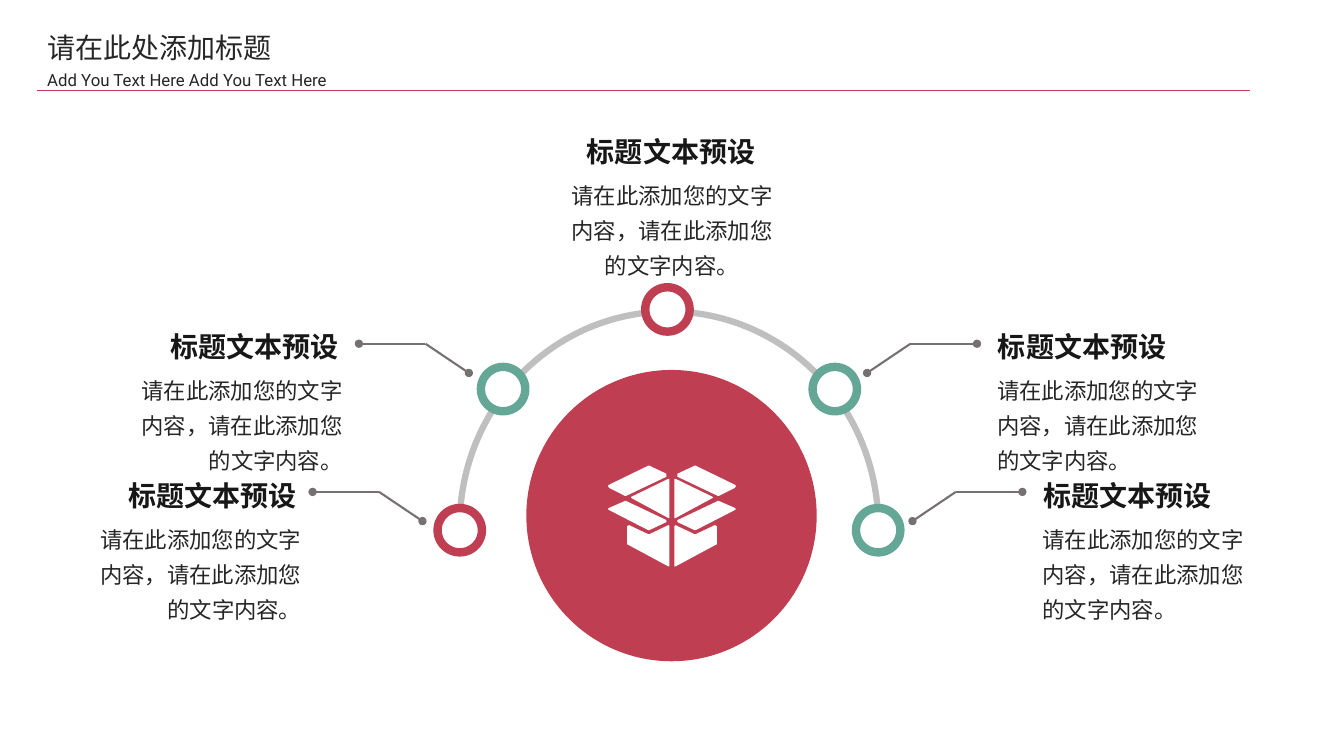
from lxml.etree import SubElement
from pptx import Presentation
from pptx.dml.color import RGBColor
from pptx.enum.lang import MSO_LANGUAGE_ID
from pptx.enum.shapes import MSO_CONNECTOR, MSO_SHAPE
from pptx.enum.text import MSO_ANCHOR, MSO_AUTO_SIZE, PP_ALIGN
from pptx.oxml.ns import qn
from pptx.util import Inches, Pt

COLORS = {
    "red": "C03E51",
    "green": "64A797",
    "arc": "BFBFBF",
    "leader": "767171",
    "heading": "181717",
    "body": "262626",
    "white": "FFFFFF",
}
HEADING = "标题文本预设"
BODY = "请在此添加您的文字内容，请在此添加您的文字内容。"
RING_SIZE = 0.44
MIRROR_SUM = 13.33

RINGS = [
    (6.4, 2.85, "red"),
    (8.06, 3.64, "green"),
    (4.34, 5.04, "red"),
    (8.49, 5.04, "green"),
    (4.77, 3.64, "green"),
]
LEADERS = [(4.19, 5.17, -1), (4.65, 3.7, -1), (8.6, 3.7, 1), (9.05, 5.17, 1)]
SIDE_LABELS = [
    (9.8, 3.29, 9.89, 2.2, PP_ALIGN.LEFT),
    (10.25, 4.77, 10.34, 2.11, PP_ALIGN.LEFT),
    (1.26, 3.29, 1.38, 2.02, PP_ALIGN.RIGHT),
    (0.84, 4.77, 0.84, 2.15, PP_ALIGN.RIGHT),
]
LEFT_BOX_PANELS = [
    [(6.26, 4.93), (6.63, 4.75), (6.64, 4.75), (6.64, 5.14), (6.63, 5.14), (6.26, 4.94)],
    [(6.61, 5.16), (6.21, 4.97), (6.2, 4.97), (6.04, 5.04), (6.03, 5.05), (6.04, 5.06),
     (6.43, 5.26), (6.44, 5.26), (6.61, 5.18)],
    [(6.61, 4.7), (6.44, 4.62), (6.43, 4.62), (6.04, 4.81), (6.03, 4.82), (6.04, 4.84),
     (6.2, 4.92), (6.21, 4.92), (6.61, 4.73)],
    [(6.22, 5.22), (6.24, 5.21), (6.43, 5.3), (6.44, 5.3), (6.63, 5.21), (6.64, 5.22),
     (6.64, 5.62), (6.63, 5.62), (6.24, 5.41), (6.22, 5.4)],
]


class SlidePainter:
    font_name = "Roboto"

    def __init__(self, page):
        self.page = page

    def color(self, name):
        return RGBColor.from_string(COLORS[name])

    def finish(self, shape, fill=None, line=None, width=0):
        shape.shadow.inherit = False
        if fill:
            shape.fill.solid()
            shape.fill.fore_color.rgb = self.color(fill)
        else:
            shape.fill.background()
        if line:
            shape.line.color.rgb = self.color(line)
            shape.line.width = Pt(width)
        else:
            shape.line.fill.background()

    def shape(self, kind, place, **style):
        shape = self.page.shapes.add_shape(kind, *map(Inches, place))
        self.finish(shape, **style)
        return shape

    def line(self, start, end, color, width, **ends):
        line = self.page.shapes.add_connector(
            MSO_CONNECTOR.STRAIGHT, *map(Inches, (*start, *end)))
        line.line.color.rgb = self.color(color)
        line.line.width = Pt(width)
        outline = line.line._get_or_add_ln()
        for tag, kind in ends.items():
            SubElement(outline, qn(f"a:{tag}"), type=kind)
        SubElement(line._element.spPr, qn("a:effectLst"))

    def polygons(self, outlines, fill):
        points = [[(round(x * 100), round(y * 100)) for x, y in outline]
                  for outline in outlines]
        builder = self.page.shapes.build_freeform(*points[0][0], scale=Inches(0.01))
        for index, outline in enumerate(points):
            if index:
                builder.move_to(*outline[0])
            builder.add_line_segments(outline[1:], close=True)
        self.finish(builder.convert_to_shape(), fill=fill)

    def text(self, place, words, size, color="body", align=PP_ALIGN.LEFT, bold=False,
             spacing=None, anchor=MSO_ANCHOR.TOP, inset=True, wrap=True, box=None):
        if box is None:
            box = self.page.shapes.add_textbox(0, 0, 0, 0)
        box.left, box.top, box.width, box.height = map(Inches, place)
        frame = box.text_frame
        frame.word_wrap = wrap
        frame.auto_size = MSO_AUTO_SIZE.NONE
        frame.vertical_anchor = anchor
        if not inset:
            frame.margin_left = frame.margin_right = 0
            frame.margin_top = frame.margin_bottom = 0
        para = frame.paragraphs[0]
        para.alignment = align
        if spacing:
            para.line_spacing = spacing
        span = para.add_run()
        span.text = words
        font = span.font
        font.name = self.font_name
        font.size = Pt(size)
        font.bold = bold
        font.color.rgb = self.color(color)
        font.language_id = MSO_LANGUAGE_ID.SIMPLIFIED_CHINESE

    def heading(self, place, **style):
        self.text(place, HEADING, 20, color="heading", bold=True, **style)

    def body(self, place, **style):
        self.text(place, BODY, 16, spacing=1.3, **style)


def main():
    deck = Presentation()
    deck.slide_width, deck.slide_height = Inches(13.33), Inches(7.5)
    page = deck.slides.add_slide(deck.slide_layouts[5])
    painter = SlidePainter(page)

    arc = painter.shape(MSO_SHAPE.ARC, (4.56, 3.09, 4.15, 4.24), line="arc", width=4.5)
    arc.adjustments[0] = 108
    arc.adjustments[1] = 0
    for left, top, color in RINGS:
        painter.shape(MSO_SHAPE.OVAL, (left, top, RING_SIZE, RING_SIZE),
                      fill="white", line=color, width=6)

    for x, y, side in LEADERS:
        elbow = (x + side * 0.43, y - 0.29)
        end = (x + side * 1.09, y - 0.29)
        painter.line((x, y), elbow, "leader", 1.5, headEnd="oval")
        painter.line(elbow, end, "leader", 1.5, tailEnd="oval")

    for left, top, body_left, body_width, align in SIDE_LABELS:
        painter.heading((left, top, 2.2, 0.29), align=align, anchor=MSO_ANCHOR.MIDDLE)
        painter.body((body_left, top + 0.37, body_width, 1.05), align=align, inset=False)
    painter.heading((5.71, 1.29, 1.88, 0.44), align=PP_ALIGN.RIGHT, wrap=False)
    painter.body((5.47, 1.68, 2.39, 1.15), align=PP_ALIGN.CENTER)

    painter.shape(MSO_SHAPE.OVAL, (5.22, 3.67, 2.88, 2.89), fill="red")
    right_panels = [[(MIRROR_SUM - x, y) for x, y in panel] for panel in LEFT_BOX_PANELS]
    painter.polygons(LEFT_BOX_PANELS + right_panels, "white")

    painter.text((0.37, 0.25, 2.75, 0.44), "请在此处添加标题", 20, box=page.shapes.title)
    painter.text((0.37, 0.58, 3.34, 0.34), "Add You Text Here Add You Text Here", 12,
                 spacing=1.3)
    painter.line((0.37, 0.9), (12.4, 0.9), "red", 0.5)
    deck.save("out.pptx")


if __name__ == "__main__":
    main()
